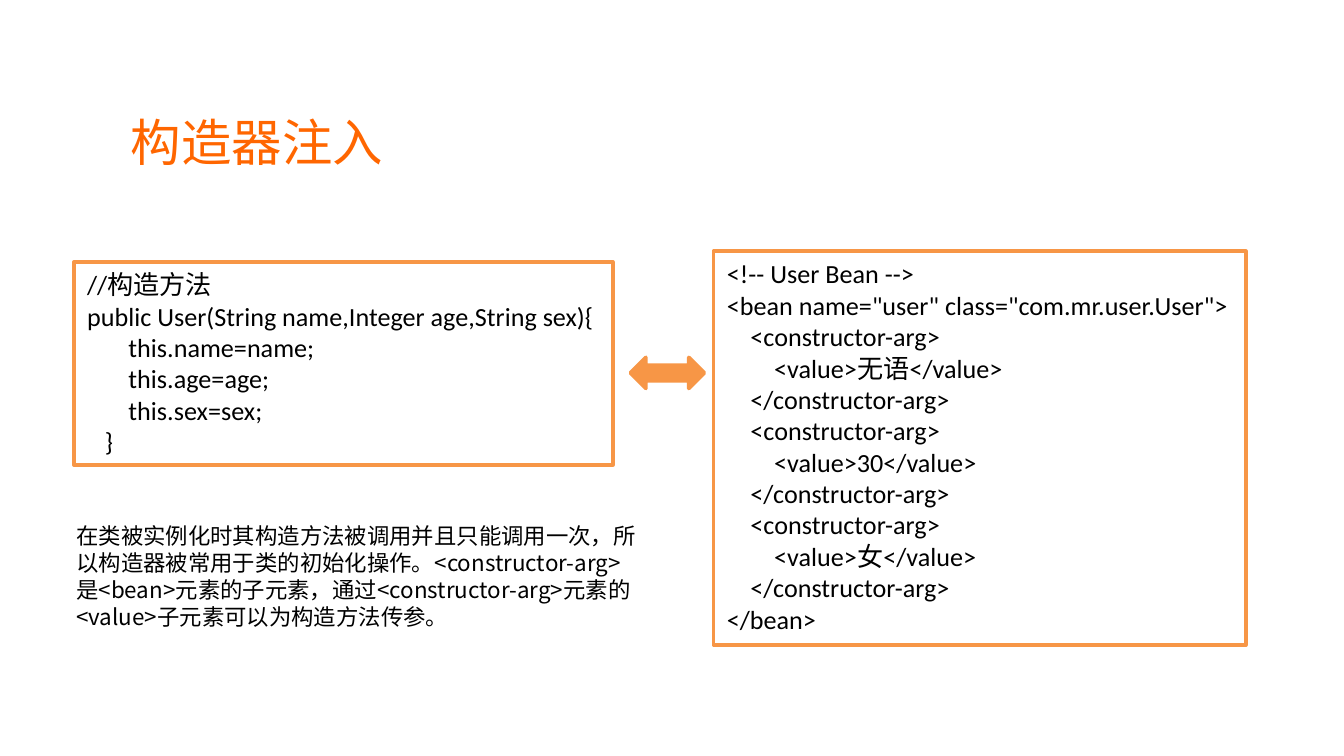
from pptx import Presentation
from pptx import util as u
from pptx.dml.color import RGBColor
from pptx.enum import shapes, text

WHITE = RGBColor(0xFF, 0xFF, 0xFF)
BLACK = RGBColor(0, 0, 0)
ORANGE = RGBColor(0xF7, 0x96, 0x46)
BRIGHT = RGBColor(0xFF, 0x66, 0x00)

METHOD = """//构造方法
public User(String name,Integer age,String sex){
       this.name=name;
       this.age=age;
       this.sex=sex;
   }"""

BEAN = """<!-- User Bean -->
<bean name="user" class="com.mr.user.User">
    <constructor-arg>
        <value>无语</value>
    </constructor-arg>
    <constructor-arg>
        <value>30</value>
    </constructor-arg>
    <constructor-arg>
        <value>女</value>
    </constructor-arg>
</bean>"""

NOTE = ("在类被实例化时其构造方法被调用并且只能调用一次，"
        "所以构造器被常用于类的初始化操作。"
        "<constructor-arg>是<bean>元素的子元素，"
        "通过<constructor-arg>元素的<value>子元素可以为构造方法传参。")


class Page:
    """Holds the style and the current slide; lengths are in points."""
    head, code, body = "Arial", "Calibri", "Noto Sans CJK SC"

    def __init__(self, deck):
        self.slide = deck.slides.add_slide(deck.slide_layouts[5])
        fill = self.slide.background.fill
        fill.solid()
        fill.fore_color.rgb = WHITE

    def put(self, frame, lines, font, size, color):
        for i, line in enumerate(lines):
            para = frame.add_paragraph() if i else frame.paragraphs[0]
            para.text = line
            para.alignment = text.PP_ALIGN.LEFT
            para.font.name = font
            para.font.size = u.Pt(size)
            para.font.color.rgb = color

    def title(self, words, *area):
        box = self.slide.shapes.title
        box.left, box.top, box.width, box.height = map(u.Pt, area)
        frame = box.text_frame
        frame.auto_size = text.MSO_AUTO_SIZE.NONE
        frame.vertical_anchor = text.MSO_ANCHOR.MIDDLE
        frame.margin_left = frame.margin_right = u.Pt(5.3)
        frame.margin_top = frame.margin_bottom = u.Pt(2.7)
        self.put(frame, [words], self.head, 27, BRIGHT)

    def shape(self, kind, fill, *area):
        item = self.slide.shapes.add_shape(kind, *map(u.Pt, area))
        item.shadow.inherit = False
        item.fill.solid()
        item.fill.fore_color.rgb = fill
        item.line.color.rgb = ORANGE
        item.line.width = u.Pt(2)
        return item

    def listing(self, words, *area):
        box = self.shape(shapes.MSO_SHAPE.RECTANGLE, WHITE, *area)
        frame = box.text_frame
        frame.word_wrap = False
        frame.auto_size = text.MSO_AUTO_SIZE.SHAPE_TO_FIT_TEXT
        frame.vertical_anchor = text.MSO_ANCHOR.TOP
        self.put(frame, words.split("\n"), self.code, 14, BLACK)

    def note(self, words, *area):
        frame = self.slide.shapes.add_textbox(*map(u.Pt, area)).text_frame
        frame.word_wrap = True
        self.put(frame, [words], self.body, 12, BLACK)
        frame.paragraphs[0].line_spacing = u.Pt(14.5)

    def arrow(self, *area):
        self.shape(shapes.MSO_SHAPE.LEFT_RIGHT_ARROW, ORANGE, *area)


def main():
    deck = Presentation()
    deck.slide_width, deck.slide_height = u.Pt(720), u.Pt(405)
    page = Page(deck)

    # Heading
    page.title("构造器注入", 64.8, 48.2, 514.8, 55.4)

    # Constructor and the bean that feeds it
    page.listing(METHOD, 39.6, 140.4, 288.7, 108.7)
    page.listing(BEAN, 382.3, 134.6, 285.1, 211)

    # Explanation
    page.note(NOTE, 33.8, 275.8, 315.4, 65.5)

    # Link between the two listings
    page.arrow(337.7, 191.5, 39.6, 16.6)

    deck.save("out.pptx")


if __name__ == "__main__":
    main()
